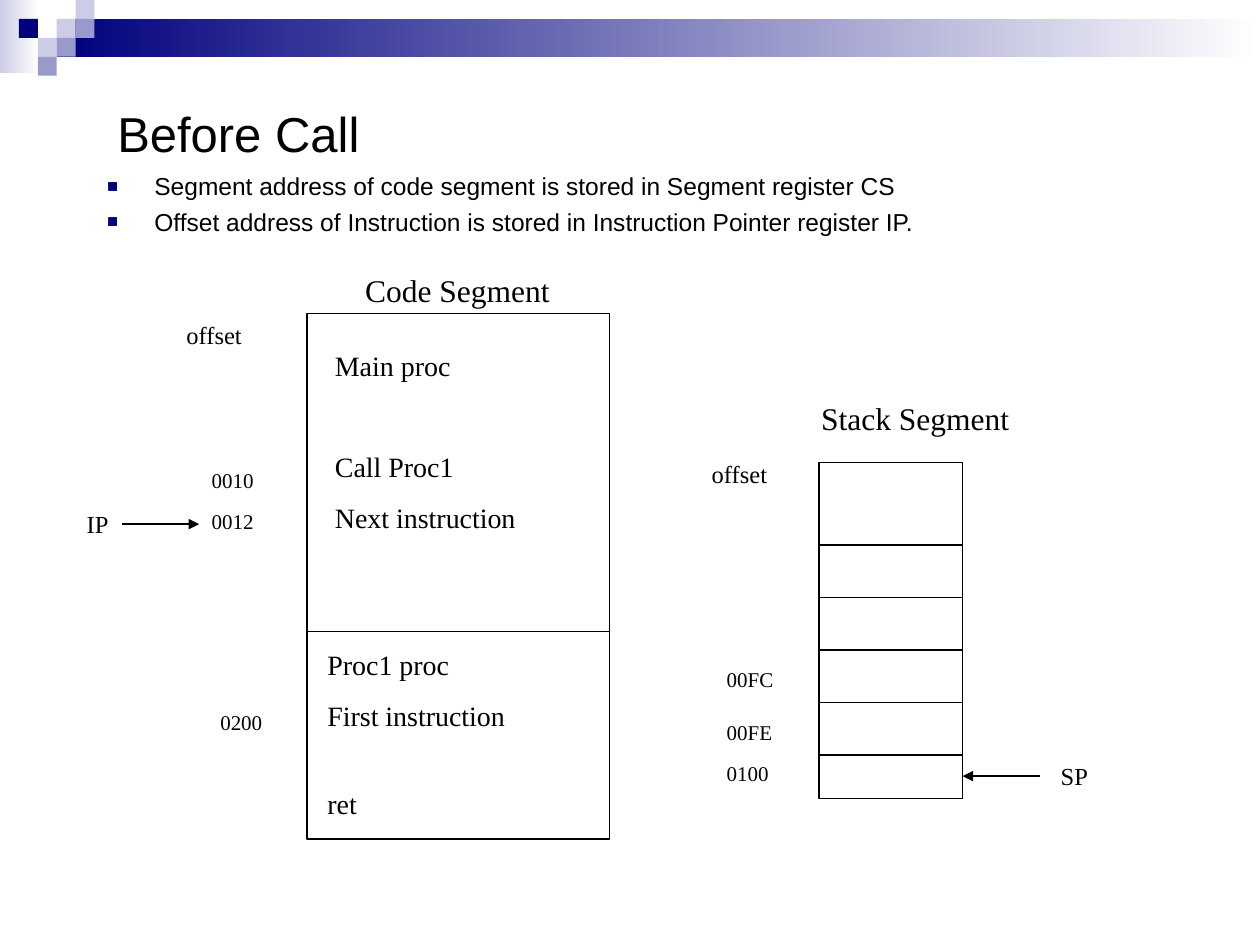
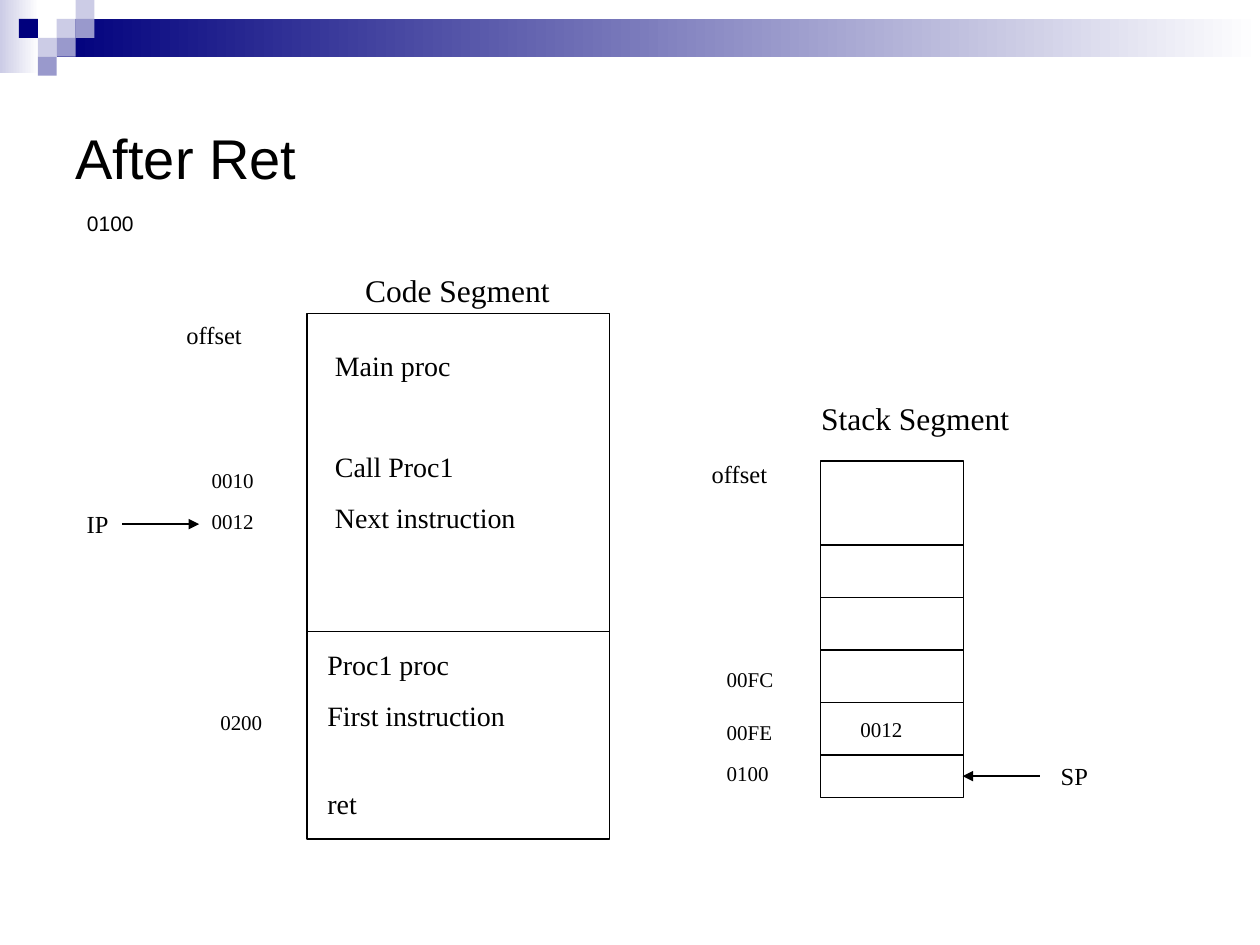
import dataclasses

import lxml.etree
import pptx
import pptx.dml.color
import pptx.enum.shapes
import pptx.enum.text
import pptx.oxml.ns
import pptx.util

Pt = pptx.util.Pt
qn = pptx.oxml.ns.qn
RECTANGLE = pptx.enum.shapes.MSO_SHAPE.RECTANGLE
STRAIGHT = pptx.enum.shapes.MSO_CONNECTOR.STRAIGHT
AUTO_SIZE = pptx.enum.text.MSO_AUTO_SIZE


@dataclasses.dataclass(frozen=True)
class Theme:
    ink: str = "000000"
    paper: str = "FFFFFF"
    navy: str = "00007D"
    lilac: str = "CCCCE6"
    violet: str = "9999CC"
    heading_font: str = "Arial"
    diagram_font: str = "Times New Roman"
    segment_size: int = 18
    code_size: int = 16
    caption_size: int = 14
    address_size: int = 12
    rule_width: float = 0.75
    spacing: float = 0.625  # space before a paragraph, per point of type


THEME = Theme()
TILE = 10.8
STACK_RULES = [311.5 + 30 * row for row in range(5)]


def rgb(color):
    return pptx.dml.color.RGBColor.from_string(color)


def place(shape, left, top, width, height):
    shape.left, shape.top = Pt(left), Pt(top)
    shape.width, shape.height = Pt(width), Pt(height)


def format_runs(paragraph, font, size):
    for run in paragraph.runs:
        run.font.name = font
        run.font.size = Pt(size)
        run.font.color.rgb = rgb(THEME.ink)


# Shared band and checker tiles

def add_tile(shapes, left, top, width, height, *colors):
    """One colour gives a solid tile, two give a left-to-right fade."""
    tile = shapes.add_shape(RECTANGLE, Pt(left), Pt(top), Pt(width), Pt(height))
    tile.shadow.inherit = False
    tile.line.fill.background()
    if len(colors) == 1:
        tile.fill.solid()
        tile.fill.fore_color.rgb = rgb(colors[0])
        return
    tile.fill.gradient()
    tile.fill.gradient_angle = 0
    for stop, color in zip(tile.fill.gradient_stops, colors):
        stop.color.rgb = rgb(color)


def add_master_band(master, slide):
    """Draw the band as a group and hand it to the master, behind everything."""
    band = slide.shapes.add_group_shape()
    add_tile(band.shapes, 0, 0, 22.3, 41.8, THEME.lilac, THEME.paper)
    add_tile(band.shapes, 3 * TILE, TILE, 687.6, 2 * TILE, THEME.navy, THEME.paper)
    checker = [
        (3, 1, THEME.lilac), (4, 0, THEME.lilac), (4, 1, THEME.violet),
        (2, 2, THEME.lilac), (1, 1, THEME.navy), (3, 2, THEME.violet),
        (2, 3, THEME.violet),
    ]
    for column, row, color in checker:
        add_tile(band.shapes, column * TILE, row * TILE, TILE, TILE, color)
    for number, properties in enumerate(band.element.iter(qn("p:cNvPr")), 100):
        properties.set("id", str(number))
    master.element.cSld.spTree.insert(2, band.element)


# Placeholders

def set_title(slide, text, size, *area):
    title = slide.shapes.title
    place(title, *area)
    frame = title.text_frame
    frame.text = text
    frame.auto_size = AUTO_SIZE.NONE
    frame.vertical_anchor = pptx.enum.text.MSO_ANCHOR.MIDDLE
    frame.paragraphs[0].alignment = pptx.enum.text.PP_ALIGN.LEFT
    format_runs(frame.paragraphs[0], THEME.heading_font, size)


def set_bullet(properties, bulleted):
    def add(parent, tag, **attributes):
        return lxml.etree.SubElement(parent, qn(tag), attributes)

    if not bulleted:
        add(properties, "a:buNone")
        return
    add(add(properties, "a:buClr"), "a:srgbClr", val=THEME.navy)
    add(properties, "a:buSzPct", val="75000")
    add(properties, "a:buFont", typeface=THEME.heading_font)
    add(properties, "a:buChar", char="■")


def set_body(slide, lines, size, space_before, bulleted, *area):
    body = slide.placeholders[1]
    place(body, *area)
    frame = body.text_frame
    frame.text = "\n".join(lines)
    frame.auto_size = AUTO_SIZE.NONE
    for paragraph in frame.paragraphs:
        paragraph.space_before = Pt(space_before)
        properties = paragraph._p.get_or_add_pPr()
        properties.set("marL", str(Pt(27)))
        properties.set("indent", str(Pt(-27)))
        set_bullet(properties, bulleted)
        format_runs(paragraph, THEME.heading_font, size)


# Diagram elements

def add_label(slide, text, size, *area):
    label = slide.shapes.add_textbox(*map(Pt, area))
    frame = label.text_frame
    frame.text = text
    frame.word_wrap = True
    frame.auto_size = AUTO_SIZE.SHAPE_TO_FIT_TEXT
    for paragraph in frame.paragraphs:
        paragraph.space_before = Pt(size * THEME.spacing)
        format_runs(paragraph, THEME.diagram_font, size)
    return label


def add_address(slide, text, left, top):
    add_label(slide, text, THEME.address_size, left, top, 54, 21.6)


def add_caption(slide, text, left, top, width):
    add_label(slide, text, THEME.caption_size, left, top, width, 24.5)


def style_line(line):
    line.color.rgb = rgb(THEME.ink)
    line.width = Pt(THEME.rule_width)


def add_box(slide, *area):
    box = slide.shapes.add_shape(RECTANGLE, *map(Pt, area))
    box.shadow.inherit = False
    box.fill.background()
    style_line(box.line)


def add_rule(slide, start, end, y, arrow=False):
    rule = slide.shapes.add_connector(STRAIGHT, Pt(start), Pt(y), Pt(end), Pt(y))
    style_line(rule.line)
    properties = rule.element.spPr
    if arrow:
        outline = properties.find(qn("a:ln"))
        lxml.etree.SubElement(outline, qn("a:tailEnd"), type="triangle")
    lxml.etree.SubElement(properties, qn("a:effectLst"))


# The two memory segments

def add_code_segment(slide):
    add_label(slide, "Code Segment", THEME.segment_size, 201.6, 151.2, 164, 28.8)
    add_box(slide, 175.5, 179.3, 172.8, 300.2)
    add_rule(slide, 175.5, 348.3, 360.7)

    main_proc = add_label(slide, "Main proc\nCall Proc1\nNext instruction",
                          THEME.code_size, 184.3, 195.8, 154.8, 114.5)
    # The call stands one blank line below the procedure's name
    main_proc.text_frame.paragraphs[1].space_before = Pt(38.4)
    add_label(slide, "Proc1 proc\nFirst instruction", THEME.code_size,
              180, 366.5, 119.5, 55.4)
    add_label(slide, "ret", THEME.code_size, 180, 445.7, 84.2, 26.6)

    add_caption(slide, "offset", 99.4, 179.3, 56.9)
    for text, left, top in [("0010", 113.8, 263.5), ("0012", 113.8, 287.3),
                            ("0200", 118.8, 401.8)]:
        add_address(slide, text, left, top)

    add_caption(slide, "IP", 42.5, 287.3, 33.1)
    add_rule(slide, 69.8, 113.8, 299.5, arrow=True)


def add_stack_segment(slide, left, top):
    add_label(slide, "Stack Segment", THEME.segment_size, 462.2, 224.6, 164, 28.8)
    add_box(slide, left, top, 82, 192.2)
    for y in STACK_RULES:
        add_rule(slide, 468.7, 550.1, y)

    add_caption(slide, "offset", 399.6, 258.5, 56.9)
    for text, y in [("00FC", 377.3), ("00FE", 407.5), ("0100", 431.3)]:
        add_address(slide, text, 408.2, y)

    add_caption(slide, "SP", 599, 431.3, 32.4)
    add_rule(slide, 594, 550.1, 443.5, arrow=True)


def main():
    deck = pptx.Presentation()
    deck.slide_width, deck.slide_height = Pt(720), Pt(540)
    layout = deck.slide_layouts[1]

    # Before the call
    before = deck.slides.add_slide(layout)
    add_master_band(deck.slide_master, before)
    set_title(before, "Before Call", 28, 59.8, 48.2, 595.4, 55.4)
    set_body(before, [
        "Segment address of code segment is stored in Segment register CS",
        "Offset address of Instruction is stored in Instruction Pointer register IP.",
    ], 14, 3.5, True, 54, 94.3, 635, 414)
    add_code_segment(before)
    add_stack_segment(before, 468, 264.2)

    # After the return
    after = deck.slides.add_slide(layout)
    set_title(after, "After Ret", 32, 36, 36, 648, 108)
    set_body(after, ["0100"], 12, 7.5, False, 42.5, 116.6, 623.5, 362.9)
    add_code_segment(after)
    add_stack_segment(after, 468.7, 263.5)
    add_address(after, "0012", 484.6, 406.1)

    deck.save("out.pptx")


if __name__ == "__main__":
    main()
